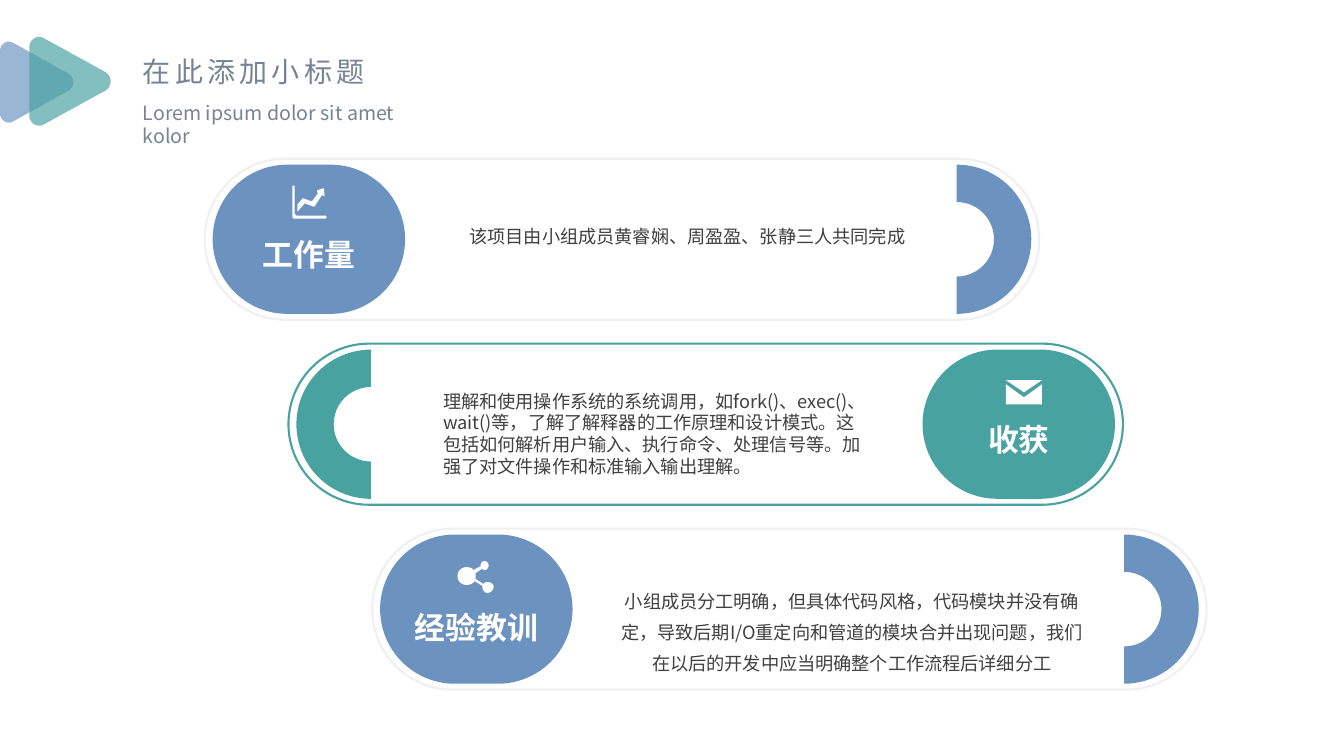
import dataclasses

import lxml.etree
import pptx
import pptx.dml.color
import pptx.enum.shapes
import pptx.enum.text
import pptx.oxml.ns
import pptx.util

Cm = pptx.util.Cm
Pt = pptx.util.Pt
Shape = pptx.enum.shapes.MSO_SHAPE
Align = pptx.enum.text.PP_ALIGN


@dataclasses.dataclass(frozen=True)
class Theme:
    font: str = "Noto Sans CJK SC"
    blue: str = "6C92C0"
    teal: str = "48A2A0"
    pale: str = "F0F0F0"
    white: str = "FFFFFF"
    slate: str = "768394"
    ink: str = "404040"
    title: int = 20
    subtitle: int = 14
    label: int = 22
    body: int = 13
    leading: int = 22
    outline: float = 1.5
    veil: int = 68


def rgb(value):
    return pptx.dml.color.RGBColor.from_string(value)


def bezier(start, controls, steps=10):
    points = [start, *zip(controls[::2], controls[1::2])]
    for step in range(1, steps + 1):
        t = step / steps
        weights = ((1 - t) ** 3, 3 * t * (1 - t) ** 2, 3 * t * t * (1 - t), t ** 3)
        yield tuple(sum(w * p[axis] for w, p in zip(weights, points)) for axis in (0, 1))


def trace(contour):
    points = [contour[0]]
    for step in contour[1:]:
        points.extend([step] if len(step) == 2 else bezier(points[-1], step))
    return points


class SlideBuilder:
    def __init__(self, theme, slide):
        self.theme = theme
        self.slide = slide

    def paint(self, shape, fill=None, line=None, alpha=None):
        shape.shadow.inherit = False
        if fill:
            shape.fill.solid()
            shape.fill.fore_color.rgb = rgb(fill)
        else:
            shape.fill.background()
        if line:
            shape.line.color.rgb = rgb(line)
            shape.line.width = Pt(self.theme.outline)
        else:
            shape.line.fill.background()
        if alpha:
            color = shape.fill._xPr.find(".//" + pptx.oxml.ns.qn("a:srgbClr"))
            lxml.etree.SubElement(color, pptx.oxml.ns.qn("a:alpha")).set("val", str(alpha * 1000))

    def preset(self, kind, box, rotation=0, adjust=None, **colors):
        shape = self.slide.shapes.add_shape(kind, *map(Cm, box))
        shape.rotation = rotation
        if adjust is not None:
            shape.adjustments[0] = adjust
        self.paint(shape, **colors)

    def pill(self, box, **colors):
        self.preset(Shape.ROUNDED_RECTANGLE, box, adjust=0.5, **colors)

    def outline(self, contours, box, **colors):
        left, top, width, height = box
        builder = None
        for contour in contours:
            points = [(x * width * 10, y * height * 10) for x, y in trace(contour)]
            if builder is None:
                builder = self.slide.shapes.build_freeform(*points[0], scale=Cm(0.001))
            else:
                builder.move_to(*points[0])
            builder.add_line_segments(points[1:], close=True)
        self.paint(builder.convert_to_shape(Cm(left), Cm(top)), **colors)

    def text(self, words, box, size, color, bold=False, align=Align.LEFT,
             inset=0, leading=None, wrap=True, tracking=None):
        frame = self.slide.shapes.add_textbox(*map(Cm, box)).text_frame
        paragraph = frame.paragraphs[0]
        run = paragraph.add_run()
        run.text = words
        side, edge = Cm(inset), Cm(inset / 2)
        formats = {
            frame: {"margin_left": side, "margin_right": side, "margin_top": edge,
                    "margin_bottom": edge, "word_wrap": wrap,
                    "auto_size": pptx.enum.text.MSO_AUTO_SIZE.SHAPE_TO_FIT_TEXT},
            paragraph: {"alignment": align, "line_spacing": leading and Pt(leading)},
            run.font: {"name": self.theme.font, "size": Pt(size), "bold": bold},
        }
        for target, values in formats.items():
            for key, value in values.items():
                setattr(target, key, value)
        run.font.color.rgb = rgb(color)
        properties = run._r.get_or_add_rPr()
        east_asian = lxml.etree.SubElement(properties, pptx.oxml.ns.qn("a:ea"))
        east_asian.set("typeface", self.theme.font)
        if tracking:
            properties.set("spc", str(tracking * 100))


TRIANGLE = [[(94, 40), (18, 2.4), (10, -2, 0, 4, 0, 12), (0, 88),
             (0, 96, 10, 102, 18, 97.6), (94, 60), (102, 55, 102, 45, 94, 40)]]
CHART = [
    [(86, 9), (89, 9), (91, 33), (86, 30), (83, 30), (63, 63), (60, 64), (37, 55),
     (34, 55), (14, 79), (14, 58), (29, 39), (31, 39), (54, 48), (57, 46), (72, 24), (69, 16)],
    [(3, 0), (6, 3), (6, 85), (11, 91), (94, 91), (97, 95), (94, 100), (3, 100), (0, 95), (0, 3)],
]
ENVELOPE = [[(0, 0), (100, 0), (50, 50)],
            [(0, 17), (50, 71), (100, 17), (100, 100), (0, 100)]]
SHARE = [[
    (83, 66), (81, 66, 75, 66, 72, 72), (50, 56), (50, 38), (67, 25),
    (69, 25, 72, 28, 75, 28), (81, 28, 86, 22, 86, 13), (86, 6, 81, 0, 75, 0),
    (69, 0, 64, 6, 64, 13), (64, 16), (44, 28), (42, 22, 33, 19, 25, 19),
    (11, 19, 0, 31, 0, 47), (0, 63, 11, 75, 25, 75), (33, 75, 42, 72, 47, 63),
    (69, 78), (69, 81), (69, 91, 75, 100, 83, 100), (92, 100, 100, 91, 100, 81),
    (100, 72, 92, 66, 83, 66),
]]

theme = Theme()
deck = pptx.Presentation()
deck.slide_width, deck.slide_height = Cm(33.87), Cm(19.05)
page = SlideBuilder(theme, deck.slides.add_slide(deck.slide_layouts[6]))

page.text("在此添加小标题", (3.35, 1.24, 6.25, 1.12), theme.title, theme.slate,
          inset=0.25, wrap=False, tracking=3)
page.text("Lorem ipsum dolor sit amet kolor", (3.35, 2.41, 8.1, 0.86),
          theme.subtitle, theme.slate, inset=0.25)
page.outline(TRIANGLE, (0, 1.03, 1.85, 2.08), fill=theme.blue, alpha=theme.veil)
page.outline(TRIANGLE, (0.74, 0.91, 2.05, 2.28), fill=theme.teal, alpha=theme.veil)

centered = {"align": Align.CENTER, "leading": theme.leading}
sections = [
    ("工作量", 1.8, CHART, (7.37, 4.67, 0.89, 0.84), False,
     "该项目由小组成员黄睿娴、周盈盈、张静三人共同完成",
     (11.4, 5.46, 11.84, 0.79), centered),
    ("收获", 1.78, ENVELOPE, (25.35, 9.58, 0.91, 0.61), True,
     "理解和使用操作系统的系统调用，如fork()、exec()、wait()等，了解了解释器的工作原理和设计模式。"
     "这包括如何解析用户输入、执行命令、处理信号等。加强了对文件操作和标准输入输出理解。",
     (10.92, 9.7, 11.28, 2.46), {"inset": 0.25}),
    ("经验教训", 1.88, SHARE, (11.53, 14.14, 0.91, 0.8), False,
     "小组成员分工明确，但具体代码风格，代码模块并没有确定，导致后期I/O重定向和管道的模块合并出现问题，"
     "我们在以后的开发中应当明确整个工作流程后详细分工",
     (15.57, 14.66, 11.79, 2.36), centered),
]

FRAME_WIDTH, FRAME_HEIGHT = 21.03, 4.06
BADGE_WIDTH, BADGE_HEIGHT = 4.85, 3.76
LABEL_WIDTH, GAP = 3.4, 0.2

for index, (label, drop, icon, icon_box, mirrored, body, body_box, style) in enumerate(sections):
    left, middle = 5.16 + 2.11 * index, 6.03 + 4.66 * index
    top = middle - BADGE_HEIGHT / 2
    color = theme.teal if mirrored else theme.blue
    badge_left = left + GAP
    arc_left = left + FRAME_WIDTH - GAP - BADGE_HEIGHT
    if mirrored:
        badge_left, arc_left = left + FRAME_WIDTH - GAP - BADGE_WIDTH, left + GAP
    page.pill((left, middle - FRAME_HEIGHT / 2, FRAME_WIDTH, FRAME_HEIGHT),
              line=theme.teal if mirrored else theme.pale)
    page.pill((badge_left, top, BADGE_WIDTH, BADGE_HEIGHT), fill=color)
    page.preset(Shape.BLOCK_ARC, (arc_left, top, BADGE_HEIGHT, BADGE_HEIGHT),
                rotation=270 if mirrored else 90, fill=color)
    page.outline(icon, icon_box, fill=theme.white)
    page.text(label, (badge_left + (BADGE_WIDTH - LABEL_WIDTH) / 2, top + drop, LABEL_WIDTH, 0.94),
              theme.label, theme.white, bold=True, align=Align.CENTER)
    page.text(body, body_box, theme.body, theme.ink, **style)

deck.save("out.pptx")
